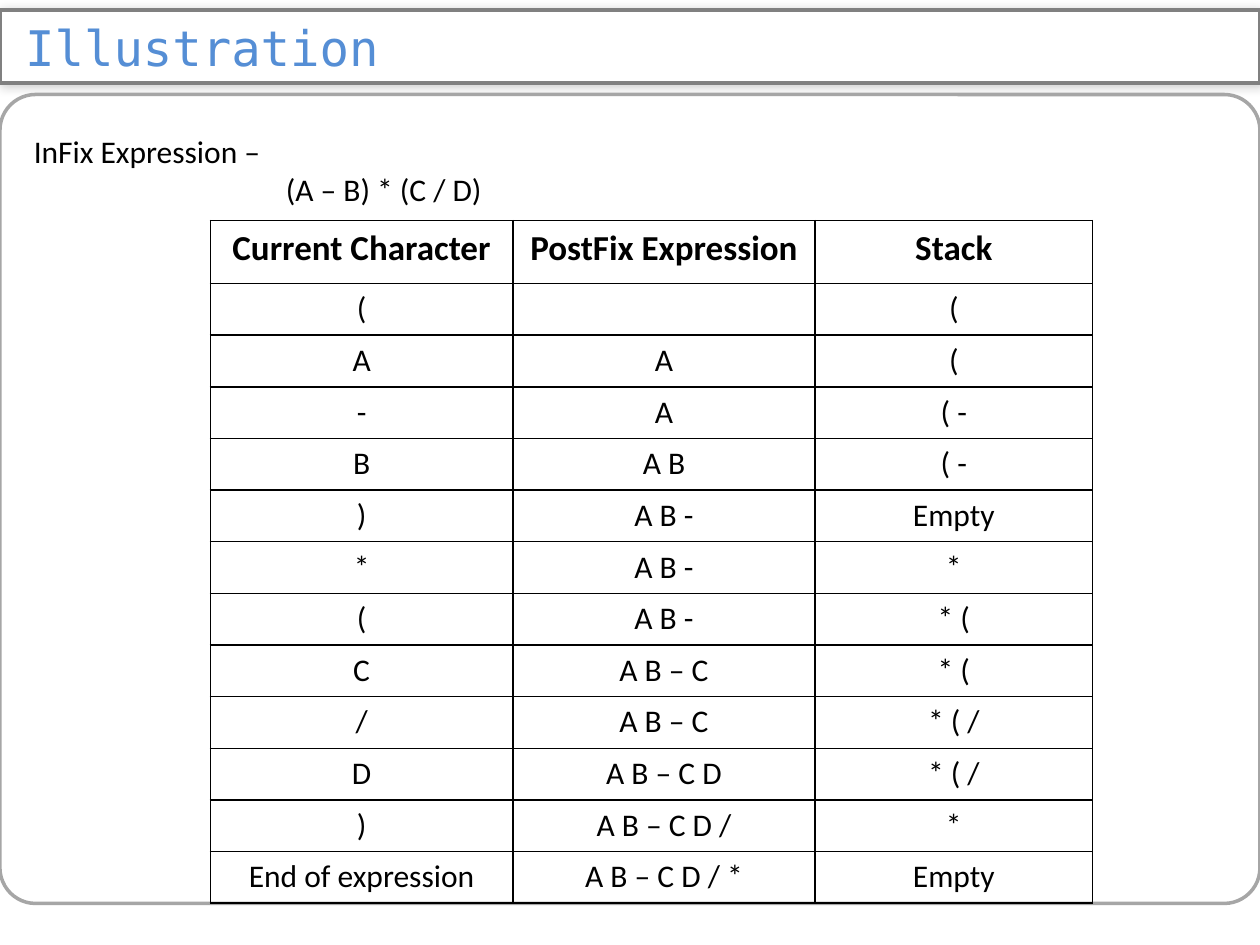
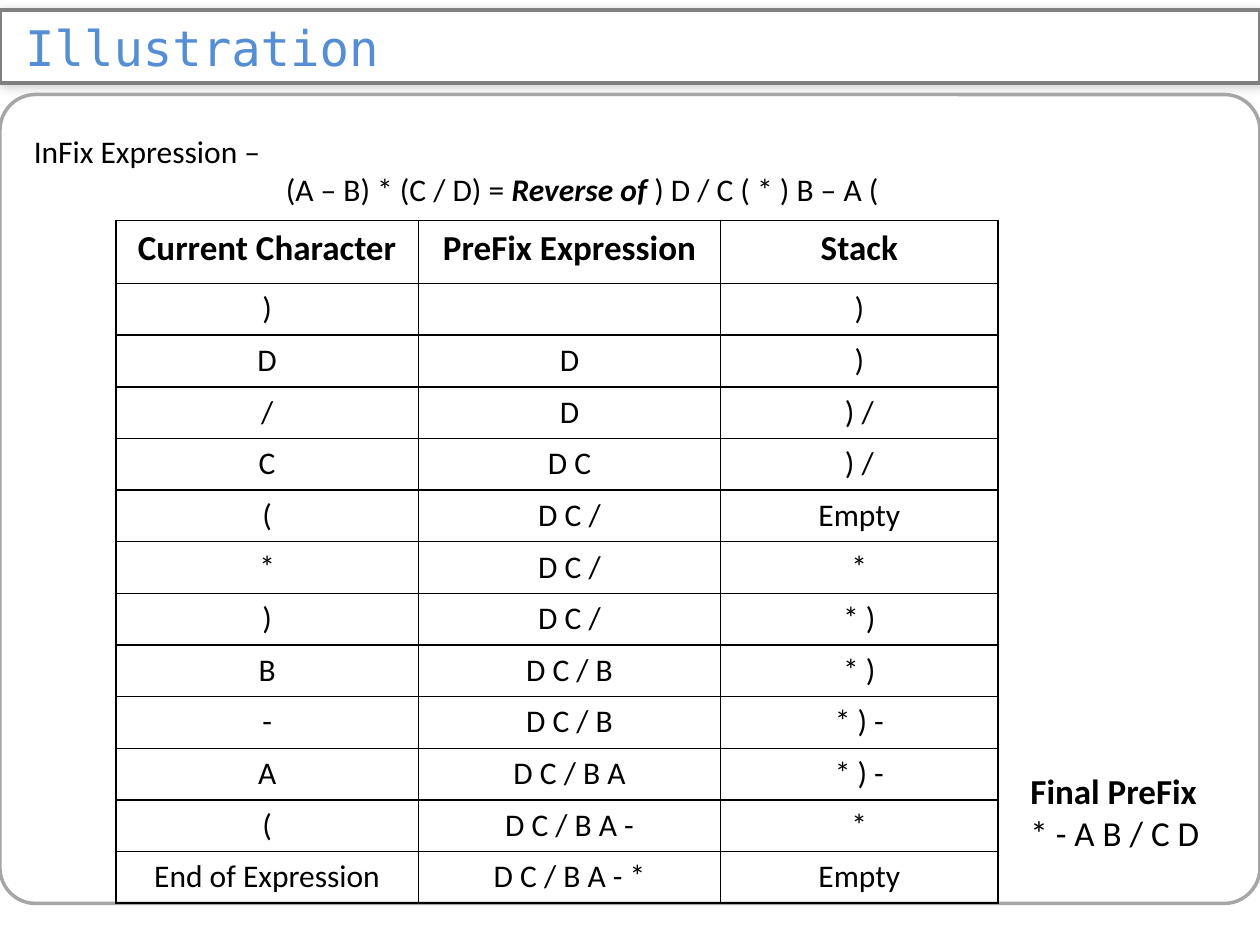
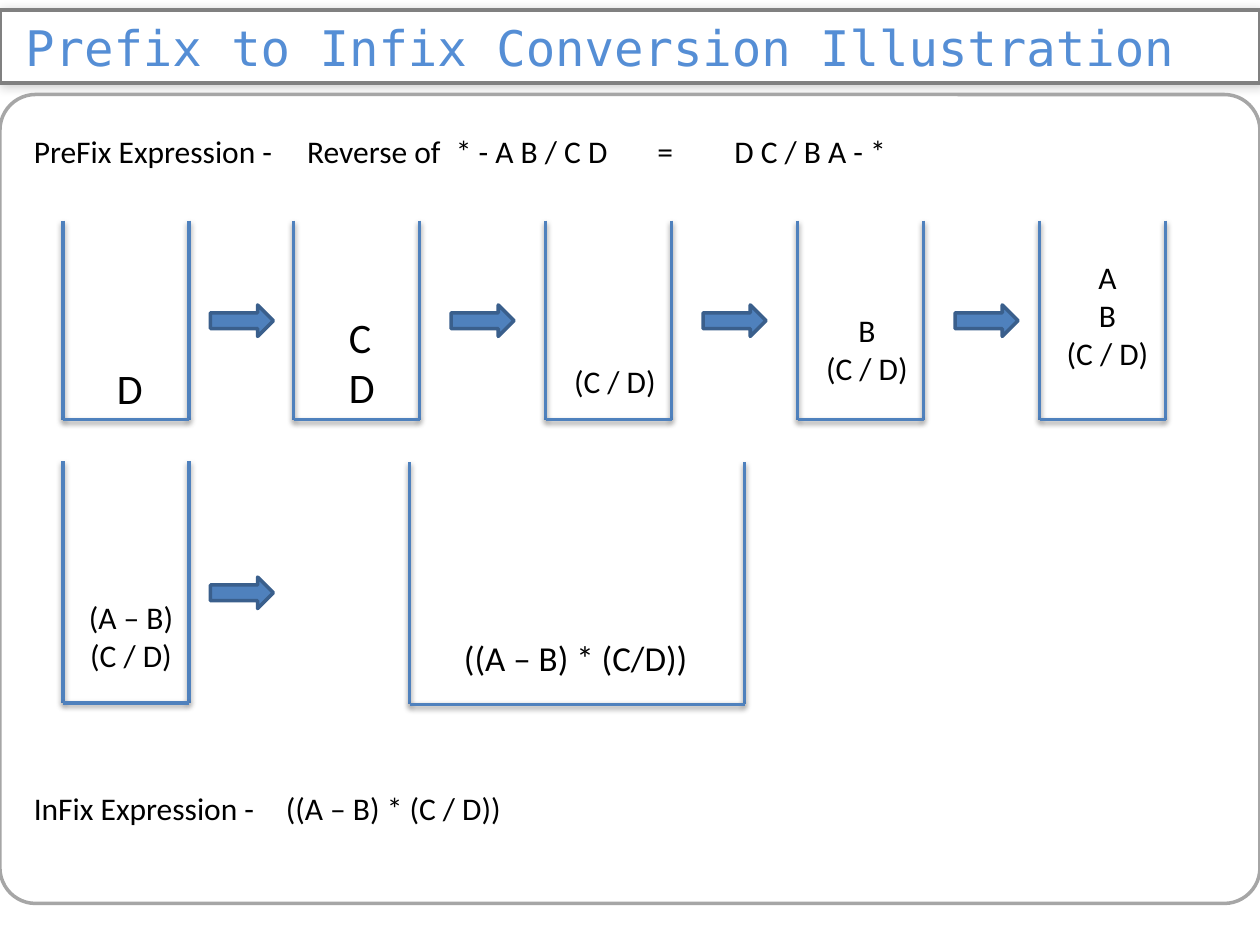
"""Build three slides that illustrate infix, postfix and prefix conversion."""
from lxml.etree import SubElement
from pptx import Presentation
from pptx.dml.color import RGBColor
from pptx.enum.shapes import MSO_CONNECTOR, MSO_SHAPE
from pptx.enum.text import MSO_ANCHOR, MSO_AUTO_SIZE, PP_ALIGN
from pptx.oxml.ns import qn
from pptx.util import Inches, Pt

COLORS = {
    "title": "558ED5", "text": "000000", "bar": "FFFFFF", "bar_line": "808080",
    "panel_line": "A6A6A6", "bucket": "4F81BD", "arrow_line": "3A5F8C",
}
TITLE_FONT, BODY_FONT = "DejaVu Sans Mono", "Calibri"
EXPRESSION_INDENT = 2
COLUMN_WIDTHS = (2.4, 2.4, 2.2)
HEADER_HEIGHT, ROW_HEIGHT = 0.5, 0.41

CONVERSIONS = [
    {
        "expression": [("(A – B) * (C / D)", "")],
        "left": 1.67,
        "rows": [
            ("Current Character", "PostFix Expression", "Stack"),
            ("(", "", "("),
            ("A", "A", "("),
            ("-", "A", "( -"),
            ("B", "A B", "( -"),
            (")", "A B -", "Empty"),
            ("*", "A B -", "*"),
            ("(", "A B -", "* ("),
            ("C", "A B – C", "* ("),
            ("/", "A B – C", "* ( /"),
            ("D", "A B – C D", "* ( /"),
            (")", "A B – C D /", "*"),
            ("End of expression", "A B – C D / *", "Empty"),
        ],
        "result": [],
    },
    {
        "expression": [("(A – B) * (C / D) = ", ""), ("Reverse of", "bi"),
                       (" ) D / C ( * ) B – A (", "")],
        "left": 0.92,
        "rows": [
            ("Current Character", "PreFix Expression", "Stack"),
            (")", "", ")"),
            ("D", "D", ")"),
            ("/", "D", ") /"),
            ("C", "D C", ") /"),
            ("(", "D C /", "Empty"),
            ("*", "D C /", "*"),
            (")", "D C /", "* )"),
            ("B", "D C / B", "* )"),
            ("-", "D C / B", "* ) -"),
            ("A", "D C / B A", "* ) -"),
            ("(", "D C / B A -", "*"),
            ("End of Expression", "D C / B A - *", "Empty"),
        ],
        "result": [[("Final PreFix", "b")], [("* - A B / C D", "")]],
    },
]

PREFIX_LINE = "PreFix Expression -\tReverse of\t* - A B / C D\t=\tD C / B A - *"
PREFIX_TABS = (2.17, 3.35, 4.95, 5.56)
INFIX_LINE = "InFix Expression -\t((A – B) * (C / D))"

BUCKETS = [
    {"at": (0.5, 1.75, 1, 1.58), "label": (0.83, 2.83, 0.42), "size": 24, "stack": ["D"]},
    {"at": (2.33, 1.75, 1, 1.58), "label": (2.67, 2.42, 0.42), "size": 24, "stack": ["C", "D"]},
    {"at": (4.33, 1.75, 1, 1.58), "label": (4.42, 2.82, 0.92), "size": 18, "stack": ["(C / D)"]},
    {"at": (6.33, 1.75, 1, 1.58), "label": (6.42, 2.42, 0.92), "size": 18,
     "stack": ["B", "(C / D)"]},
    {"at": (8.25, 1.75, 1, 1.58), "label": (8.33, 2, 0.92), "size": 18,
     "stack": ["A", "B", "(C / D)"]},
    {"at": (0.5, 3.66, 1, 1.92), "label": (0.58, 4.7, 0.92), "size": 18,
     "stack": ["(A – B)", "(C / D)"]},
    {"at": (3.25, 3.67, 2.66, 1.92), "label": (3.35, 5, 2.44), "size": 20,
     "stack": ["((A – B) * (C/D))"]},
]
ARROWS = [(1.67, 2.42), (3.58, 2.42), (5.58, 2.42), (7.58, 2.42), (1.67, 4.58)]


def rgb(name):
    return RGBColor.from_string(COLORS[name])


def set_line(part, color, width):
    part.line.color.rgb = rgb(color)
    part.line.width = Pt(width)


def add_shadow(properties, alpha, blur, distance, angle):
    effects = SubElement(properties, qn("a:effectLst"))
    shadow = SubElement(effects, qn("a:outerShdw"), blurRad=str(Pt(blur)),
                        dist=str(Pt(distance)), dir=str(angle * 60000), rotWithShape="0")
    tint = SubElement(shadow, qn("a:srgbClr"), val=COLORS["text"])
    SubElement(tint, qn("a:alpha"), val=str(alpha * 1000))


def style_run(run, size, style="", font=BODY_FONT, color="text"):
    run.font.name, run.font.size = font, Pt(size)
    run.font.color.rgb = rgb(color)
    run.font.bold, run.font.italic = "b" in style, "i" in style


def add_text(shapes, left, top, width, lines, size=18, align=PP_ALIGN.LEFT):
    height = 0.1 + len(lines) * size / 59
    box = shapes.add_textbox(Inches(left), Inches(top), Inches(width), Inches(height))
    frame = box.text_frame
    frame.word_wrap = True
    frame.auto_size = MSO_AUTO_SIZE.SHAPE_TO_FIT_TEXT
    for index, pieces in enumerate(lines):
        paragraph = frame.add_paragraph() if index else frame.paragraphs[0]
        paragraph.alignment = align
        for text, style in pieces:
            run = paragraph.add_run()
            run.text = text
            style_run(run, size, style)
    return frame


def add_tabs(paragraph, positions):
    stops = SubElement(paragraph._p.get_or_add_pPr(), qn("a:tabLst"))
    for position in positions:
        SubElement(stops, qn("a:tab"), pos=str(Inches(position)), algn="l")


def add_frame(deck, heading):
    slide = deck.slides.add_slide(deck.slide_layouts[5])
    panel = slide.shapes.add_shape(MSO_SHAPE.ROUNDED_RECTANGLE, 0, Inches(0.75),
                                   Inches(10), Inches(6.42))
    panel.adjustments[0] = 0.044
    panel.shadow.inherit = False
    panel.fill.background()
    set_line(panel, "panel_line", 2)

    title = slide.shapes.title
    title.left, title.top, title.width, title.height = 0, Inches(0.08), Inches(10), Inches(0.58)
    properties = title._element.spPr
    outline = SubElement(properties, qn("a:prstGeom"), prst="roundRect")
    guides = SubElement(outline, qn("a:avLst"))
    SubElement(guides, qn("a:gd"), name="adj", fmla="val 40900")
    title.fill.solid()
    title.fill.fore_color.rgb = rgb("bar")
    set_line(title, "bar_line", 2.5)
    add_shadow(properties, 20, 6, 1, 45)
    frame = title.text_frame
    frame.text = heading
    frame.auto_size = MSO_AUTO_SIZE.NONE
    frame.vertical_anchor = MSO_ANCHOR.MIDDLE
    frame.margin_left, frame.margin_right = Inches(0.2), Inches(0.1)
    frame.margin_top = frame.margin_bottom = 0
    frame.paragraphs[0].alignment = PP_ALIGN.LEFT
    style_run(frame.paragraphs[0].runs[0], 28, font=TITLE_FONT, color="title")
    return slide


def add_borders(cell):
    properties = cell._tc.get_or_add_tcPr()
    for index, side in enumerate(("a:lnL", "a:lnR", "a:lnT", "a:lnB")):
        border = properties.makeelement(qn(side), {"w": str(Pt(1))})
        fill = SubElement(border, qn("a:solidFill"))
        SubElement(fill, qn("a:srgbClr"), val=COLORS["text"])
        properties.insert(index, border)


def add_trace(slide, left, rows):
    height = HEADER_HEIGHT + ROW_HEIGHT * (len(rows) - 1)
    trace = slide.shapes.add_table(len(rows), len(COLUMN_WIDTHS), Inches(left), Inches(1.75),
                                   Inches(sum(COLUMN_WIDTHS)), Inches(height)).table
    trace.first_row = trace.horz_banding = False
    for column, width in zip(trace.columns, COLUMN_WIDTHS):
        column.width = Inches(width)
    for row_index, row in enumerate(rows):
        header = row_index == 0
        trace.rows[row_index].height = Inches(HEADER_HEIGHT if header else ROW_HEIGHT)
        for column_index, text in enumerate(row):
            cell = trace.cell(row_index, column_index)
            cell.text = text
            cell.fill.background()
            add_borders(cell)
            paragraph = cell.text_frame.paragraphs[0]
            paragraph.alignment = PP_ALIGN.CENTER
            for run in paragraph.runs:
                style_run(run, 20 if header else 18, "b" if header else "")


def add_bucket(slide, bucket):
    left, top, width, depth = bucket["at"]
    right, bottom = left + width, top + depth
    shapes = slide.shapes.add_group_shape().shapes
    for ends in ((left, top, left, bottom), (right, top, right, bottom),
                 (left, bottom, right, bottom)):
        wall = shapes.add_connector(MSO_CONNECTOR.STRAIGHT, *map(Inches, ends))
        set_line(wall, "bucket", 2)
        add_shadow(wall._element.spPr, 38, 3.1, 1.6, 90)
    add_text(shapes, *bucket["label"], [[(item, "")] for item in bucket["stack"]],
             bucket["size"], PP_ALIGN.CENTER if bucket["size"] < 24 else PP_ALIGN.LEFT)


def add_arrow(slide, left, top):
    arrow = slide.shapes.add_shape(MSO_SHAPE.RIGHT_ARROW, Inches(left), Inches(top),
                                   Inches(0.5), Inches(0.25))
    arrow.shadow.inherit = False
    arrow.fill.solid()
    arrow.fill.fore_color.rgb = rgb("bucket")
    set_line(arrow, "arrow_line", 2)


def main():
    deck = Presentation()
    deck.slide_width, deck.slide_height = Inches(10), Inches(7.5)

    for conversion in CONVERSIONS:
        slide = add_frame(deck, "Illustration")
        intro = add_text(slide.shapes, 0.17, 1, 9.67,
                         [[("InFix Expression –", "")], conversion["expression"]])
        intro.paragraphs[1]._p.get_or_add_pPr().set("marL", str(Inches(EXPRESSION_INDENT)))
        add_trace(slide, conversion["left"], conversion["rows"])
        if conversion["result"]:
            add_text(slide.shapes, 8.08, 6.06, 1.75, conversion["result"], 20)

    slide = add_frame(deck, "Prefix to Infix Conversion Illustration")
    for text, top, width, tabs in ((PREFIX_LINE, 1, 8.33, PREFIX_TABS),
                                   (INFIX_LINE, 6.21, 6.92, (EXPRESSION_INDENT,))):
        expression = add_text(slide.shapes, 0.17, top, width, [[(text, "")]])
        add_tabs(expression.paragraphs[0], tabs)
    for bucket in BUCKETS:
        add_bucket(slide, bucket)
    for left, top in ARROWS:
        add_arrow(slide, left, top)

    deck.save("out.pptx")


if __name__ == "__main__":
    main()
